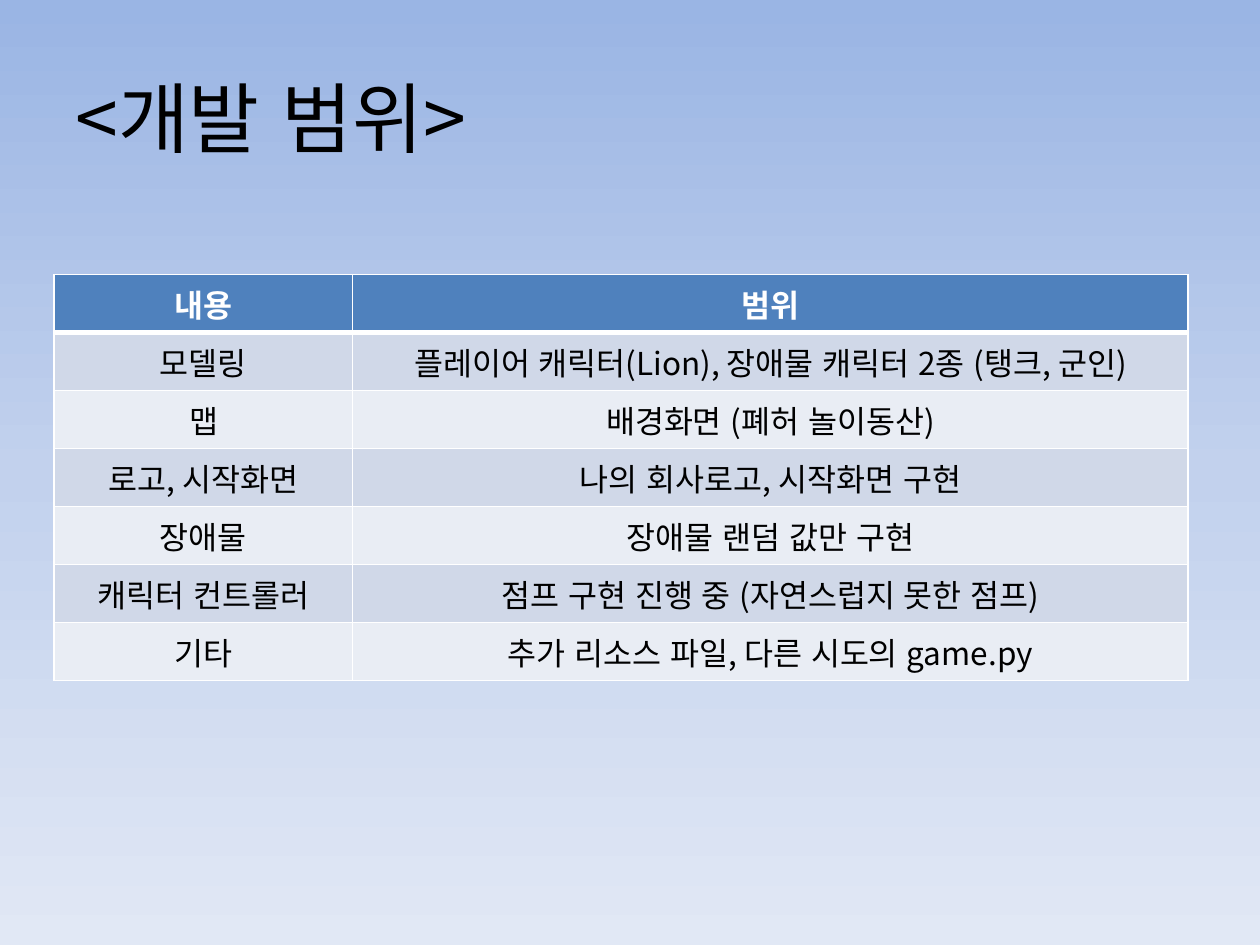
import copy
from lxml import etree
from pptx import Presentation, util as u
from pptx.dml.color import RGBColor
from pptx.enum import lang, text
from pptx.oxml import ns

FONT = "Noto Sans CJK KR"
COLORS = {
    "sky_top": "9AB5E4", "sky_middle": "C2D1ED", "sky_bottom": "E1E8F5",
    "header": "4F81BD", "odd_row": "D0D8E8", "even_row": "E9EDF4",
    "white": "FFFFFF", "black": "000000",
}
SCOPE = [
    ("내용", "범위"),
    ("모델링", "플레이어 캐릭터(Lion), 장애물 캐릭터 2종 (탱크, 군인)"),
    ("맵", "배경화면 (폐허 놀이동산)"),
    ("로고, 시작화면", "나의 회사로고, 시작화면 구현"),
    ("장애물", "장애물 랜덤 값만 구현"),
    ("캐릭터 컨트롤러", "점프 구현 진행 중 (자연스럽지 못한 점프)"),
    ("기타", "추가 리소스 파일, 다른 시도의 game.py"),
]
COLUMN_WIDTHS = [2.37, 6.63]
ROW_HEIGHT = 0.46


def style_text(paragraph, size, color, bold=False):
    for run in paragraph.runs:
        run.font.name = FONT
        run.font.size = u.Pt(size)
        run.font.bold = bold
        run.font.language_id = lang.MSO_LANGUAGE_ID.KOREAN
        run.font.color.rgb = RGBColor.from_string(COLORS[color])
        east_asian = etree.SubElement(run.font._element, ns.qn("a:ea"))
        east_asian.set("typeface", FONT)


def add_borders(cell, widths):
    properties = cell._tc.get_or_add_tcPr()
    for index, (side, width) in enumerate(widths.items()):
        line = etree.Element(ns.qn(f"a:ln{side}"), w=str(u.Pt(width)))
        fill = etree.SubElement(line, ns.qn("a:solidFill"))
        etree.SubElement(fill, ns.qn("a:srgbClr"), val=COLORS["white"])
        properties.insert(index, line)


presentation = Presentation()
presentation.slide_width = u.Inches(10)
presentation.slide_height = u.Inches(7.5)
slide = presentation.slides.add_slide(presentation.slide_layouts[6])

background = slide.background.fill
background.gradient()
background.gradient_angle = 270
stop_list = slide.element.xpath(".//a:gsLst")[0]
stop_list.append(copy.deepcopy(stop_list[0]))
sky = ["sky_top", "sky_middle", "sky_bottom"]
for index, (stop, color) in enumerate(zip(background.gradient_stops, sky)):
    stop.position = index / 2
    stop.color.rgb = RGBColor.from_string(COLORS[color])

title = slide.shapes.add_textbox(u.Inches(0.5), u.Inches(0.3), u.Inches(9), u.Inches(1.25))
title.text_frame.word_wrap = True
title.text_frame.vertical_anchor = text.MSO_ANCHOR.MIDDLE
title.text_frame.text = "<개발 범위>"
style_text(title.text_frame.paragraphs[0], 44, "black")

table = slide.shapes.add_table(
    len(SCOPE), len(COLUMN_WIDTHS), u.Inches(0.43), u.Inches(2.18),
    u.Inches(sum(COLUMN_WIDTHS)), u.Inches(ROW_HEIGHT * len(SCOPE))).table
for column, width in zip(table.columns, COLUMN_WIDTHS):
    column.width = u.Inches(width)

for row_index, values in enumerate(SCOPE):
    table.rows[row_index].height = u.Inches(ROW_HEIGHT)
    is_header = row_index == 0
    row_color = "header" if is_header else "odd_row" if row_index % 2 else "even_row"
    for column_index, value in enumerate(values):
        cell = table.cell(row_index, column_index)
        cell.fill.solid()
        cell.fill.fore_color.rgb = RGBColor.from_string(COLORS[row_color])
        add_borders(cell, {"L": 1, "R": 1, "T": 3 if row_index == 1 else 1, "B": 3 if is_header else 1})
        cell.text_frame.text = value
        paragraph = cell.text_frame.paragraphs[0]
        paragraph.alignment = text.PP_ALIGN.CENTER
        style_text(paragraph, 18, "white" if is_header else "black", is_header)

presentation.save("out.pptx")
